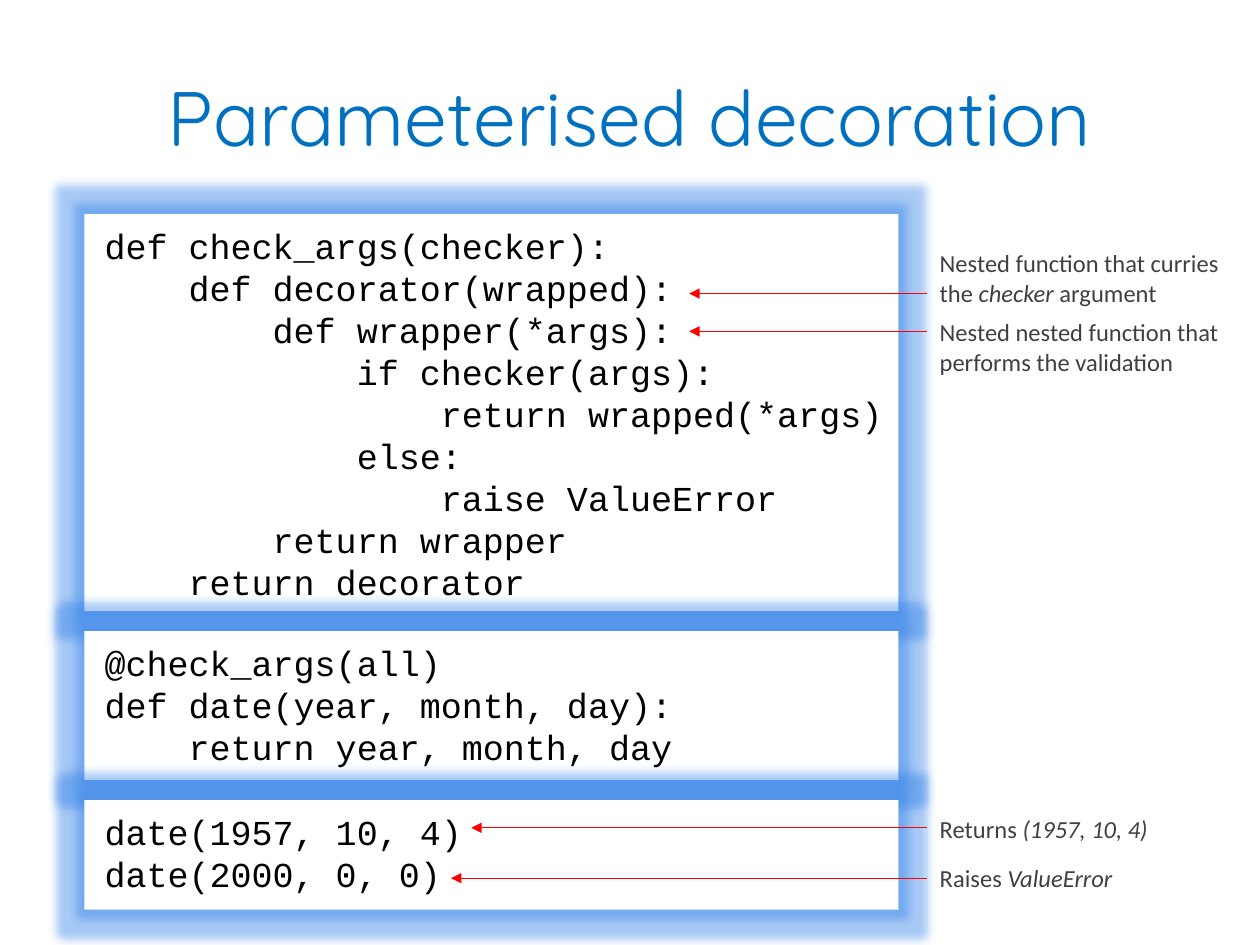
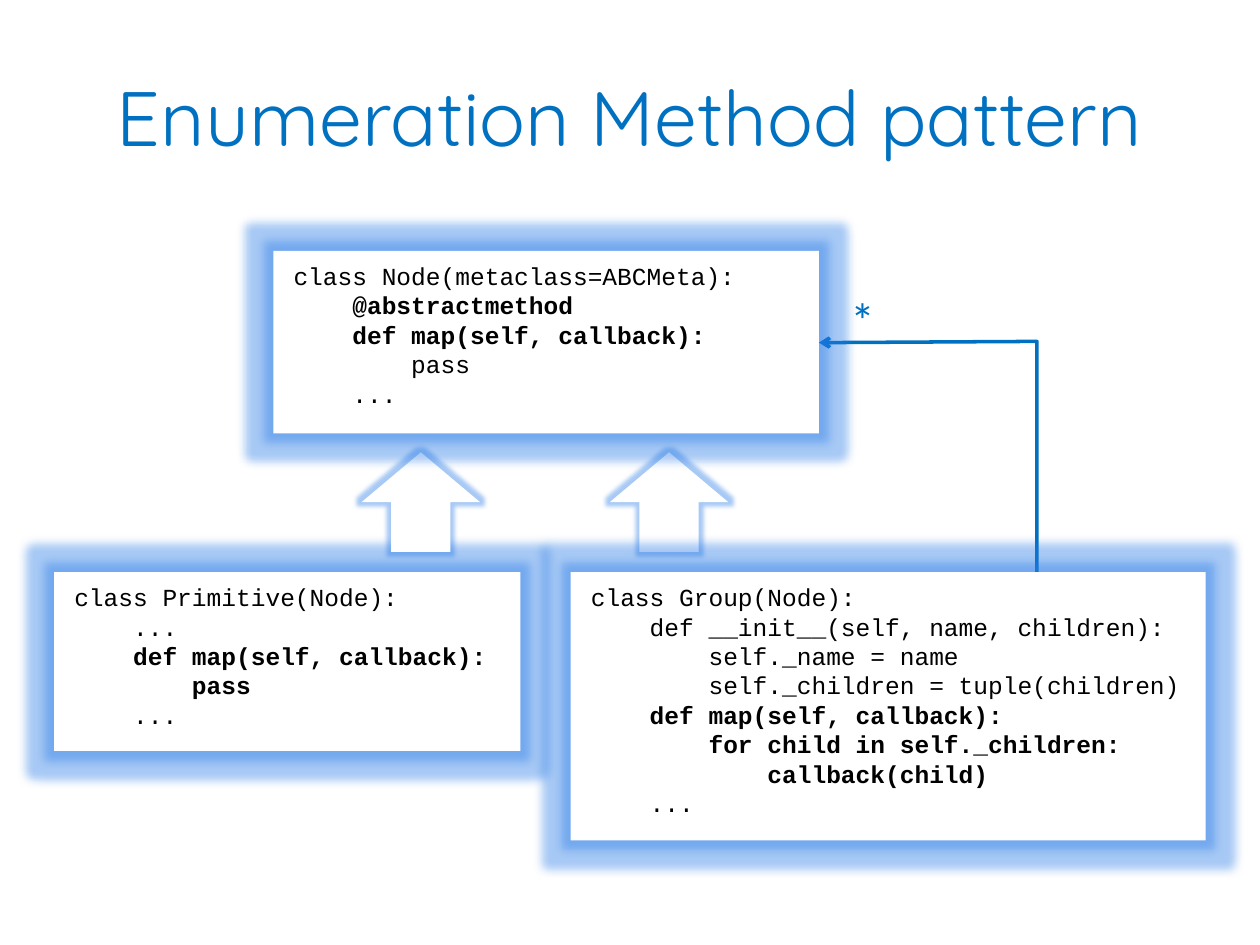
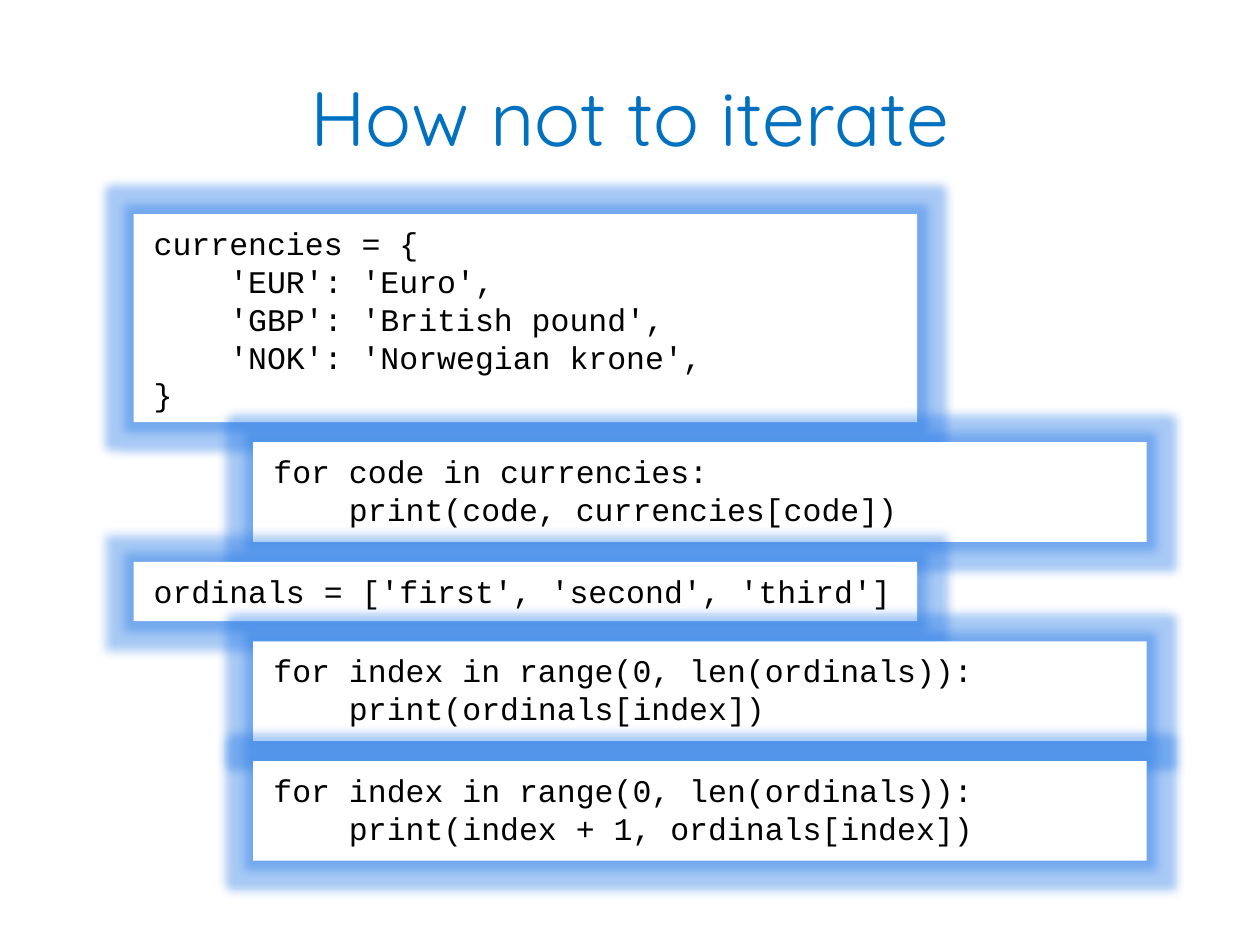
from dataclasses import dataclass

from lxml import etree
from pptx import Presentation
from pptx.dml.color import RGBColor
from pptx.enum.shapes import MSO_CONNECTOR, MSO_SHAPE
from pptx.enum.text import MSO_ANCHOR, MSO_AUTO_SIZE, PP_ALIGN
from pptx.oxml.ns import qn
from pptx.util import Inches, Pt

BLUE = RGBColor(0x00, 0x70, 0xC0)
GLOW = RGBColor(0x25, 0x79, 0xE6)
RED = RGBColor(0xFF, 0x00, 0x00)
GREY = RGBColor(0x40, 0x40, 0x40)
BLACK = RGBColor(0x00, 0x00, 0x00)
WHITE = RGBColor(0xFF, 0xFF, 0xFF)

TITLE_FONT = "Quicksand"
CODE_FONT = "Courier New"
NOTE_FONT = "Calibri"

RECT = MSO_SHAPE.RECTANGLE
UP_ARROW = MSO_SHAPE.UP_ARROW
STRAIGHT = MSO_CONNECTOR.STRAIGHT
TOP = MSO_ANCHOR.TOP
MIDDLE = MSO_ANCHOR.MIDDLE
LEFT = PP_ALIGN.LEFT
CENTER = PP_ALIGN.CENTER
GROW = MSO_AUTO_SIZE.SHAPE_TO_FIT_TEXT

TITLE_ONLY = 5
STACK_TOP = 1.7
STACK_GAP = 0.16
BOX_GLOW = Pt(11)
ARROW_GLOW = Pt(5)
NOTE_LEFT = 7.36


@dataclass(frozen=True)
class CodeBox:
    left: float
    width: float
    height: float
    lines: tuple[str, ...]
    top: float = STACK_TOP
    bold: range = range(0)


@dataclass(frozen=True)
class Span:
    text: str
    italic: bool = False


@dataclass(frozen=True)
class Note:
    """A remark beside the code, with an arrow to the line it explains."""
    top: float
    width: float
    height: float
    spans: tuple[Span, ...]
    arrow_y: float
    arrow_tip: float


DECORATOR_BOXES = (
    CodeBox(0.67, 6.46, 3.15, (
        "def check_args(checker):",
        "    def decorator(wrapped):",
        "        def wrapper(*args):",
        "            if checker(args):",
        "                return wrapped(*args)",
        "            else:",
        "                raise ValueError",
        "        return wrapper",
        "    return decorator",
    )),
    CodeBox(0.67, 6.46, 1.18, (
        "@check_args(all)",
        "def date(year, month, day):",
        "    return year, month, day",
    )),
    CodeBox(0.67, 6.46, 0.87, ("date(1957, 10, 4)", "date(2000, 0, 0)")),
)

DECORATOR_NOTES = (
    Note(6.41, 2.05, 0.34, (Span("Returns "), Span("(1957, 10, 4)", True)), 6.57, 3.74),
    Note(6.8, 2.05, 0.34, (Span("Raises "), Span("ValueError", True)), 6.97, 3.58),
    Note(2.47, 2.44, 0.57,
         (Span("Nested nested function that performs the validation"),), 2.63, 5.47),
    Note(1.92, 2.44, 0.57,
         (Span("Nested function that curries the "), Span("checker", True),
          Span(" argument")), 2.33, 5.47),
)

PRIMITIVE_BOX = CodeBox(0.43, 3.7, 1.42, (
    "class Primitive(Node):",
    "    ...",
    "    def map(self, callback):",
    "        pass",
    "    ...",
), top=4.54, bold=range(2, 4))

NODE_BOX = CodeBox(2.17, 4.33, 1.45, (
    "class Node(metaclass=ABCMeta):",
    "    @abstractmethod",
    "    def map(self, callback):",
    "        pass",
    "    ...",
), top=1.99, bold=range(1, 3))

GROUP_BOX = CodeBox(4.53, 5.04, 2.13, (
    "class Group(Node):",
    "    def __init__(self, name, children):",
    "        self._name = name",
    "        self._children = tuple(children)",
    "    def map(self, callback):",
    "        for child in self._children:",
    "            callback(child)",
    "    ...",
), top=4.54, bold=range(4, 7))

ITERATION_BOXES = (
    CodeBox(1.06, 6.22, 1.65, (
        "currencies = {",
        "    'EUR': 'Euro',",
        "    'GBP': 'British pound',",
        "    'NOK': 'Norwegian krone',",
        "}",
    )),
    CodeBox(2.01, 7.09, 0.79, (
        "for code in currencies:",
        "    print(code, currencies[code])",
    )),
    CodeBox(1.06, 6.22, 0.47, ("ordinals = ['first', 'second', 'third']",)),
    CodeBox(2.01, 7.09, 0.79, (
        "for index in range(0, len(ordinals)):",
        "    print(ordinals[index])",
    )),
    CodeBox(2.01, 7.09, 0.79, (
        "for index in range(0, len(ordinals)):",
        "    print(index + 1, ordinals[index])",
    )),
)


def style_run(r, font: str, size: int, color: RGBColor, bold=False, italic=False) -> None:
    r.font.name = font
    r.font.size = Pt(size)
    r.font.color.rgb = color
    r.font.bold = bold
    r.font.italic = italic


def add_titled_slide(prs, title: str):
    s = prs.slides.add_slide(prs.slide_layouts[TITLE_ONLY])
    sp = s.shapes.title
    sp.left, sp.top = Inches(0.5), Inches(0.29)
    sp.width, sp.height = Inches(9), Inches(1.25)
    tf = sp.text_frame
    tf.text = title
    tf.vertical_anchor = MIDDLE
    p = tf.paragraphs[0]
    p.alignment = CENTER
    style_run(p.runs[0], TITLE_FONT, 44, BLUE)
    return s


def add_glowing_shape(s, kind, left: float, top: float, width: float, height: float,
                      radius: int):
    sp = s.shapes.add_shape(kind, Inches(left), Inches(top), Inches(width), Inches(height))
    sp.fill.solid()
    sp.fill.fore_color.rgb = WHITE
    sp.line.fill.background()
    sp.shadow.inherit = False
    effects = sp._element.spPr.find(qn("a:effectLst"))
    glow = etree.SubElement(effects, qn("a:glow"), rad=str(radius))
    color = etree.SubElement(glow, qn("a:srgbClr"), val=str(GLOW))
    etree.SubElement(color, qn("a:alpha"), val="40000")
    return sp


def add_code(s, box: CodeBox, top: float, size: int, right_inset: float = 0.16) -> None:
    sp = add_glowing_shape(s, RECT, box.left, top, box.width, box.height, BOX_GLOW)
    tf = sp.text_frame
    tf.word_wrap = True
    tf.vertical_anchor = TOP
    tf.margin_left, tf.margin_right = Inches(0.16), Inches(right_inset)
    tf.margin_top = tf.margin_bottom = Inches(0.08)
    tf.text = "\n".join(box.lines)
    for i, p in enumerate(tf.paragraphs):
        p.alignment = LEFT
        style_run(p.runs[0], CODE_FONT, size, BLACK, bold=i in box.bold)


def add_code_stack(s, boxes: tuple[CodeBox, ...], size: int, right_inset: float = 0.16) -> None:
    top = STACK_TOP
    for box in boxes:
        add_code(s, box, top, size, right_inset)
        top += box.height + STACK_GAP


def style_arrow(sp, color: RGBColor, width: float, head: str) -> None:
    sp.line.color.rgb = color
    sp.line.width = Pt(width)
    spPr = sp._element.spPr
    etree.SubElement(spPr.get_or_add_ln(), qn("a:tailEnd"), type=head)
    if spPr.find(qn("a:effectLst")) is None:
        etree.SubElement(spPr, qn("a:effectLst"))


def add_text(s, left: float, top: float, width: float, height: float,
             spans: tuple[Span, ...], size: int, color: RGBColor, wrap=True) -> None:
    sp = s.shapes.add_textbox(Inches(left), Inches(top), Inches(width), Inches(height))
    tf = sp.text_frame
    tf.word_wrap = wrap
    tf.auto_size = GROW
    for span in spans:
        r = tf.paragraphs[0].add_run()
        r.text = span.text
        style_run(r, NOTE_FONT, size, color, italic=span.italic)


def add_note(s, note: Note) -> None:
    add_text(s, NOTE_LEFT, note.top, note.width, note.height, note.spans, 14, GREY)
    y = Inches(note.arrow_y)
    c = s.shapes.add_connector(STRAIGHT, Inches(NOTE_LEFT), y, Inches(note.arrow_tip), y)
    style_arrow(c, RED, 0.75, "triangle")


def add_children_link(s) -> None:
    """Draw the angled arrow from Group back up to Node."""
    builder = s.shapes.build_freeform(Inches(8.23), Inches(4.54))
    builder.add_line_segments(
        [(Inches(8.23), Inches(2.71)), (Inches(6.5), Inches(2.72))], close=False)
    sp = builder.convert_to_shape()
    sp.fill.background()
    sp.shadow.inherit = False
    style_arrow(sp, BLUE, 2, "arrow")


def build_decoration_slide(prs) -> None:
    s = add_titled_slide(prs, "Parameterised decoration")
    add_code_stack(s, DECORATOR_BOXES, 20, right_inset=0)
    for note in DECORATOR_NOTES:
        add_note(s, note)


def build_enumeration_slide(prs) -> None:
    s = add_titled_slide(prs, "Enumeration Method pattern")
    add_code(s, PRIMITIVE_BOX, PRIMITIVE_BOX.top, 14)
    for left in (2.87, 4.84):
        add_glowing_shape(s, UP_ARROW, left, 3.59, 0.94, 0.79, ARROW_GLOW)
    add_children_link(s)
    add_text(s, 6.65, 2.25, 0.4, 0.57, (Span("*"),), 28, BLUE, wrap=False)
    for box in (NODE_BOX, GROUP_BOX):
        add_code(s, box, box.top, 14)


def build_iteration_slide(prs) -> None:
    s = add_titled_slide(prs, "How not to iterate")
    add_code_stack(s, ITERATION_BOXES, 18)


def main() -> None:
    prs = Presentation()
    prs.slide_width, prs.slide_height = Inches(10), Inches(7.5)
    build_decoration_slide(prs)
    build_enumeration_slide(prs)
    build_iteration_slide(prs)
    prs.save("out.pptx")


if __name__ == "__main__":
    main()
